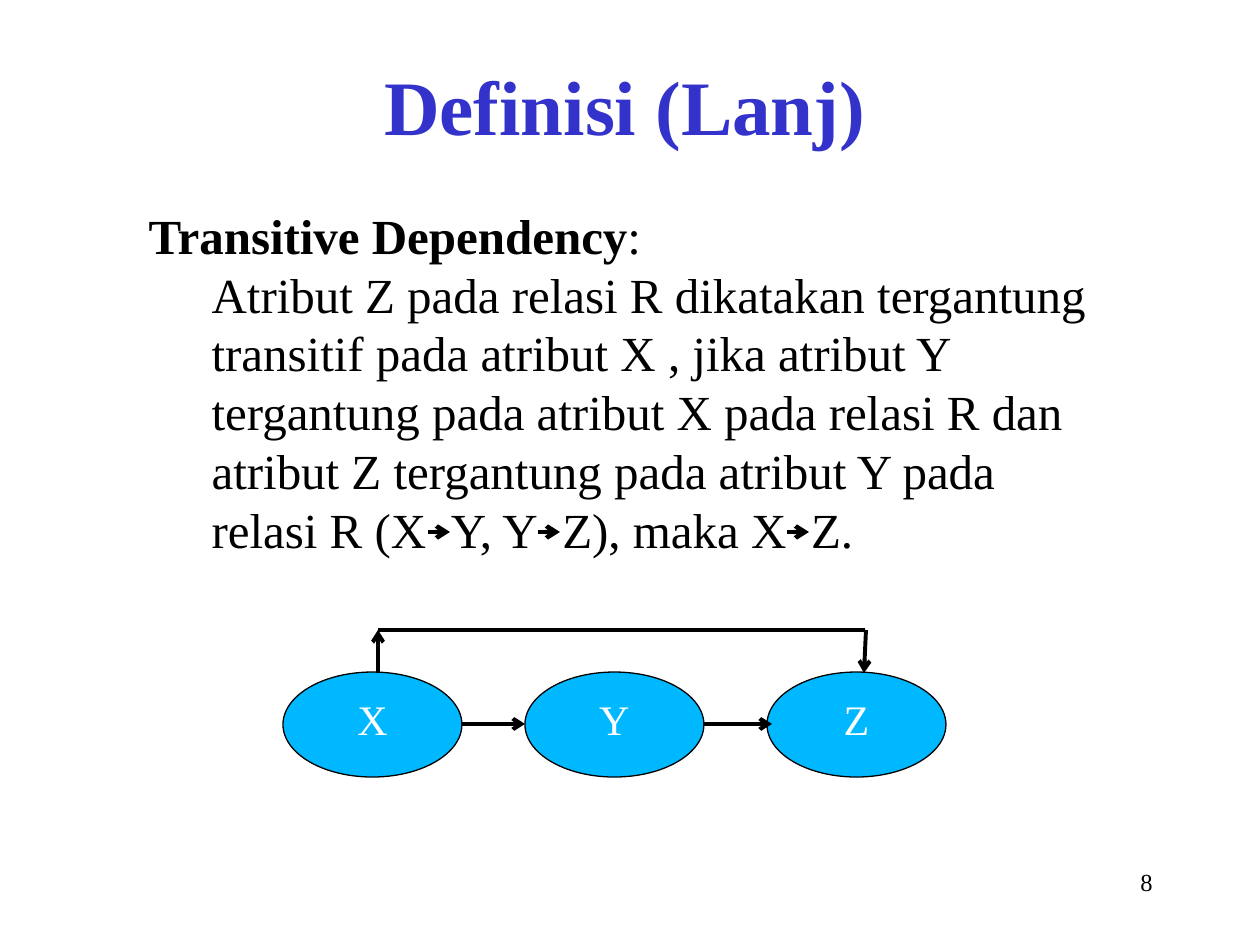
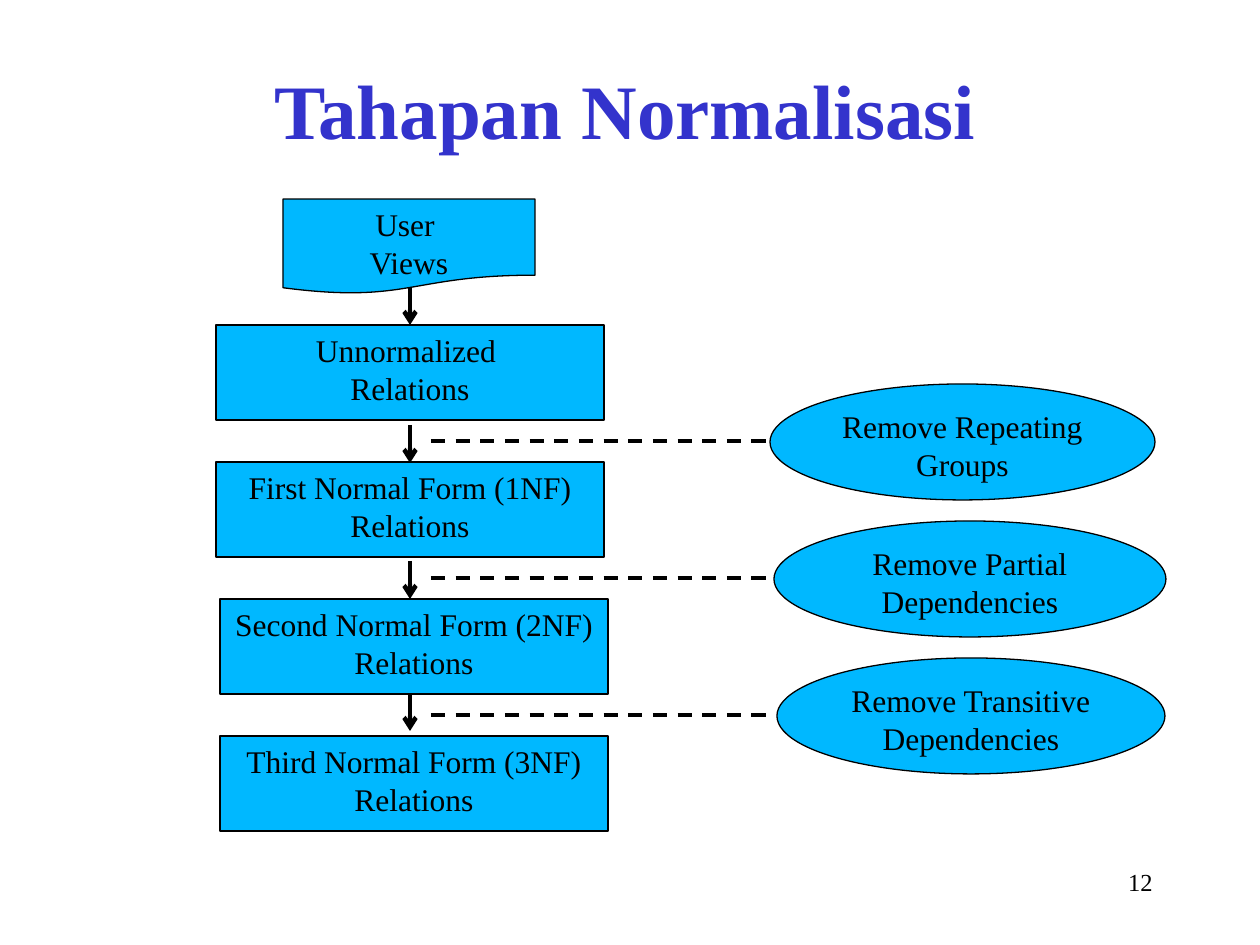
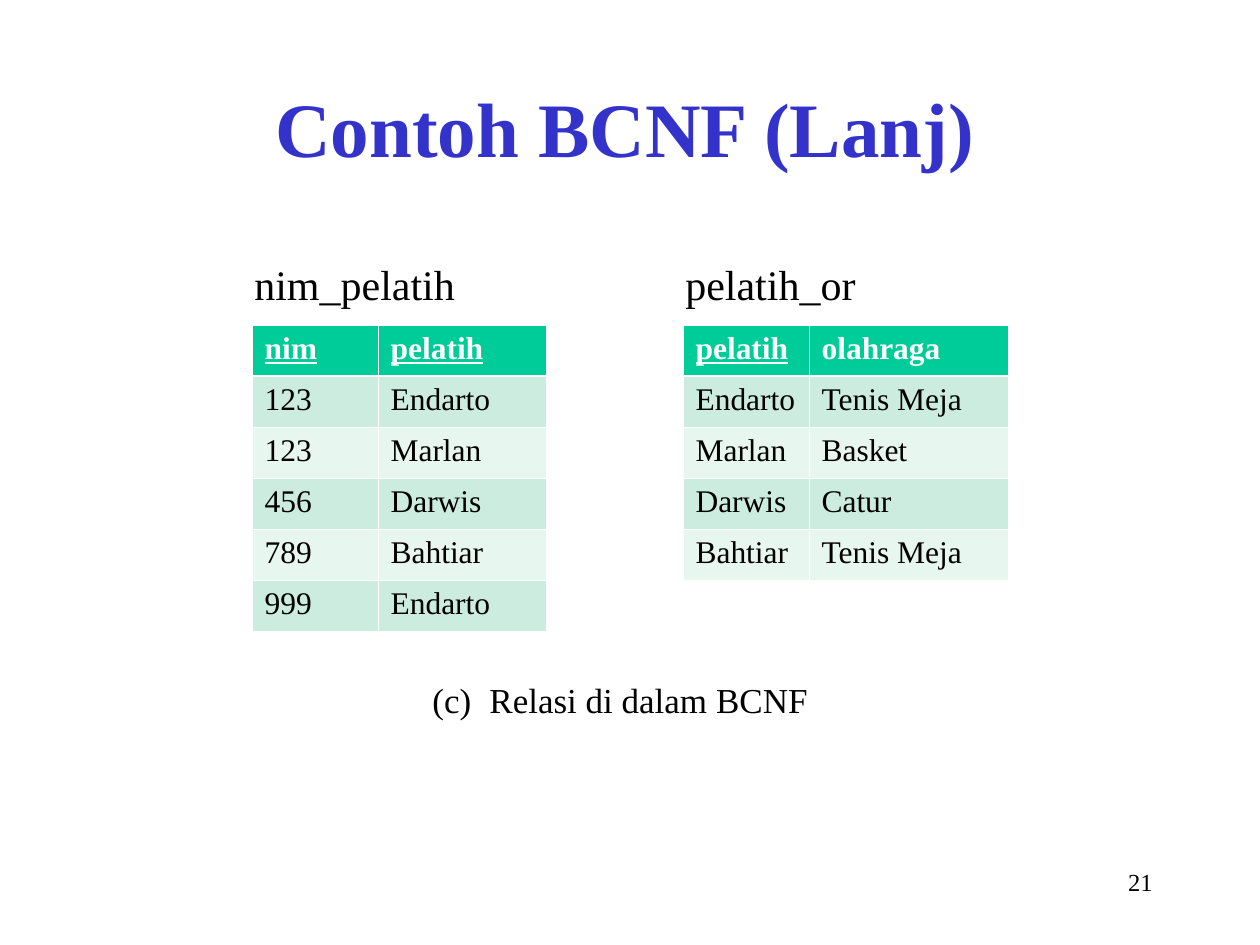
from lxml import etree
from pptx import Presentation
from pptx.dml.color import RGBColor
from pptx.enum.dml import MSO_LINE
from pptx.enum.shapes import MSO_CONNECTOR, MSO_SHAPE
from pptx.enum.text import MSO_ANCHOR, MSO_AUTO_SIZE, PP_ALIGN
from pptx.oxml.ns import qn
from pptx.util import Emu, Pt

LEFT, CENTER, RIGHT = PP_ALIGN.LEFT, PP_ALIGN.CENTER, PP_ALIGN.RIGHT
TOP, BOTTOM = MSO_ANCHOR.TOP, MSO_ANCHOR.BOTTOM
OVAL, PROCESS = MSO_SHAPE.OVAL, MSO_SHAPE.FLOWCHART_PROCESS
DOCUMENT = MSO_SHAPE.FLOWCHART_DOCUMENT
STRAIGHT, DASH = MSO_CONNECTOR.STRAIGHT, MSO_LINE.DASH

FONT = "Times New Roman"
COLORS = {
    "title": "3333CC", "text": "000000", "white": "FFFFFF", "shape": "00B8FF",
    "header": "00CC99", "odd_row": "CBECDE", "even_row": "E7F6EF",
}
DPI = 126
TITLE_AND_BODY, TITLE_ONLY = 1, 5

# Content: definition of transitive dependency
TERM = "Transitive Dependency"
# A lone " " piece is a widened gap that holds a small arrow
DEFINITION = [
    "Atribut Z pada relasi R dikatakan tergantung transitif pada atribut X , "
    "jika atribut Y tergantung pada atribut X pada relasi R dan atribut Z "
    "tergantung pada atribut Y pada relasi R (X", " ", "Y, Y", " ",
    "Z), maka X", " ", "Z.",
]
GAP_ARROW_LEFTS = [428, 538, 787]
GAP_ARROW_Y, GAP_ARROW_LENGTH = 532, 22
ATTRIBUTES = ["X", "Y", "Z"]
CHAIN_ARROWS = [(462, 724, 525, 724), (704, 724, 772, 724),
                (378, 673, 378, 630), (866, 630, 864, 673)]
BYPASS = (378, 630, 865, 630)

# Content: normalization stages as (left, lines)
STAGES = [
    (216, ["Unnormalized ", "Relations"]),
    (216, ["First Normal Form (1NF) Relations"]),
    (220, ["Second Normal Form (2NF) Relations"]),
    (220, ["Third Normal Form (3NF) Relations"]),
]
STAGE_ARROW_TOPS = [287, 425, 561, 693]
# Steps as (left, width, text)
STEPS = [
    (770, 385, "Remove Repeating Groups"),
    (774, 392, "Remove Partial Dependencies"),
    (777, 388, "Remove Transitive Dependencies"),
]
STAGE_PITCH = 137

# Content: BCNF relations; "keys" are the underlined columns
RELATIONS = [
    {"name": "nim_pelatih", "left": 252, "widths": [126, 168],
     "keys": {"nim", "pelatih"},
     "rows": [("nim", "pelatih"), ("123", "Endarto"), ("123", "Marlan"),
              ("456", "Darwis"), ("789", "Bahtiar"), ("999", "Endarto")]},
    {"name": "pelatih_or", "left": 683, "widths": [126, 199],
     "keys": {"pelatih"},
     "rows": [("pelatih", "olahraga"), ("Endarto", "Tenis Meja"),
              ("Marlan", "Basket"), ("Darwis", "Catur"),
              ("Bahtiar", "Tenis Meja")]},
]
ROW_HEIGHT = 51


def px(n):
    return Emu(round(n * 914400 / DPI))


def rgb(name):
    return RGBColor.from_string(COLORS[name])


def place(sp, left, top, width, height):
    sp.left, sp.top, sp.width, sp.height = map(px, (left, top, width, height))


def add_run(p, text, size, color="text", bold=False, underline=False):
    r = p.add_run()
    r.text = text
    font = r.font
    font.name, font.size, font.bold = FONT, Pt(size), bold
    font.underline = underline
    font.color.rgb = rgb(color)
    return r


def add_lines(tf, lines, size, color="text", align=LEFT):
    """Write one paragraph per line into a wrapped frame."""
    tf.word_wrap = True
    for i, line in enumerate(lines):
        p = tf.add_paragraph() if i else tf.paragraphs[0]
        p.alignment = align
        add_run(p, line, size, color)


def add_text(s, box, text, size, align=LEFT):
    sp = s.shapes.add_textbox(*map(px, box))
    add_lines(sp.text_frame, [text], size, align=align)
    return sp


def add_node(s, kind, box, lines, size=18, color="text"):
    sp = s.shapes.add_shape(kind, *map(px, box))
    sp.shadow.inherit = False
    sp.fill.solid()
    sp.fill.fore_color.rgb = rgb("shape")
    sp.line.color.rgb = rgb("text")
    sp.line.width = Pt(0.75)
    sp.text_frame.vertical_anchor = TOP
    add_lines(sp.text_frame, lines, size, color, CENTER)


def add_line(s, ends, width, arrow=True, dash=None):
    c = s.shapes.add_connector(STRAIGHT, *map(px, ends))
    c.line.color.rgb = rgb("text")
    c.line.width = Pt(width)
    if dash:
        c.line.dash_style = dash
    if arrow:
        etree.SubElement(c.line._ln, qn("a:tailEnd"), type="arrow")
    etree.SubElement(c._element.spPr, qn("a:effectLst"))


def add_slide(prs, layout, title, number, top=53, height=108):
    """Add a slide with the shared title style and page number."""
    s = prs.slides.add_slide(prs.slide_layouts[layout])
    sp = s.shapes.title
    place(sp, 63, top, 1124, height)
    tf = sp.text_frame
    tf.auto_size, tf.vertical_anchor = MSO_AUTO_SIZE.NONE, BOTTOM
    p = tf.paragraphs[0]
    p.alignment = CENTER
    add_run(p, title, 44, "title", bold=True)
    add_text(s, (903, 861, 262, 63), str(number), 14, RIGHT)
    return s


def set_indent(p, margin, first=0):
    pPr = p._p.get_or_add_pPr()
    pPr.set("marL", str(px(margin)))
    pPr.set("indent", str(px(first)))
    return pPr


def add_border(tcPr, side, width):
    ln = etree.SubElement(tcPr, qn(f"a:{side}"), w=str(Pt(width)))
    fill = etree.SubElement(ln, qn("a:solidFill"))
    etree.SubElement(fill, qn("a:srgbClr"), val=COLORS["white"])


def add_relation(s, relation):
    rows, left = relation["rows"], relation["left"]
    widths = relation["widths"]
    add_text(s, (left - 10, 252, 242, 63), relation["name"], 24)
    table = s.shapes.add_table(
        len(rows), len(widths), px(left), px(325),
        px(sum(widths)), px(ROW_HEIGHT * len(rows))).table
    for column, width in zip(table.columns, widths):
        column.width = px(width)
    for i, row in enumerate(rows):
        table.rows[i].height = px(ROW_HEIGHT)
        header = i == 0
        fill = "header" if header else "odd_row" if i % 2 else "even_row"
        for j, text in enumerate(row):
            cell = table.cell(i, j)
            tcPr = cell._tc.get_or_add_tcPr()
            for side in ("lnL", "lnR", "lnT", "lnB"):
                thick = (side, i) in (("lnB", 0), ("lnT", 1))
                add_border(tcPr, side, 1.5 if thick else 0.5)
            cell.fill.solid()
            cell.fill.fore_color.rgb = rgb(fill)
            add_run(cell.text_frame.paragraphs[0], text, 18,
                    "white" if header else "text", bold=header,
                    underline=header and text in relation["keys"])


def build_definition(prs):
    s = add_slide(prs, TITLE_AND_BODY, "Definisi (Lanj)", 8, top=49)
    body = s.placeholders[1]
    place(body, 136, 199, 987, 365)
    tf = body.text_frame
    tf.auto_size = MSO_AUTO_SIZE.NONE
    term, definition = tf.paragraphs[0], tf.add_paragraph()
    for p, margin in ((term, 0), (definition, 63)):
        etree.SubElement(set_indent(p, margin), qn("a:buNone"))
        p.space_before = Pt(0)
    add_run(term, TERM, 28, bold=True)
    add_run(term, ":", 28)
    for piece in DEFINITION:
        r = add_run(definition, piece, 28)
        if piece == " ":
            r._r.get_or_add_rPr().set("spc", "700")
    for left in GAP_ARROW_LEFTS:
        add_line(s, (left, GAP_ARROW_Y, left + GAP_ARROW_LENGTH, GAP_ARROW_Y),
                 2.5)

    # Dependency chain
    for i, name in enumerate(ATTRIBUTES):
        add_node(s, OVAL, (283 + 242 * i, 672, 179, 105), [name], 24, "white")
    for ends in CHAIN_ARROWS:
        add_line(s, ends, 2.25)
    add_line(s, BYPASS, 2.25, arrow=False)


def build_stages(prs):
    s = add_slide(prs, TITLE_ONLY, "Tahapan Normalisasi", 12)
    add_node(s, DOCUMENT, (283, 199, 252, 95), ["User ", "Views"])
    for i, (left, lines) in enumerate(STAGES):
        add_node(s, PROCESS, (left, 325 + STAGE_PITCH * i, 388, 95), lines)
    for top in STAGE_ARROW_TOPS:
        add_line(s, (410, top, 410, top + 38), 2.5)
    for i, (left, width, text) in enumerate(STEPS):
        offset = STAGE_PITCH * i
        add_node(s, OVAL, (left, 384 + offset, width, 116), [text])
        add_line(s, (431, 441 + offset, 766, 441 + offset), 2,
                 arrow=False, dash=DASH)


def build_bcnf(prs):
    s = add_slide(prs, TITLE_ONLY, "Contoh BCNF (Lanj)", 21, height=126)
    for relation in RELATIONS:
        add_relation(s, relation)
    caption = add_text(s, (420, 672, 410, 55), "(c)\tRelasi di dalam BCNF", 20)
    set_indent(caption.text_frame.paragraphs[0], 57, -57)


def main():
    prs = Presentation()
    prs.slide_width, prs.slide_height = px(1260), px(945)
    build_definition(prs)
    build_stages(prs)
    build_bcnf(prs)
    prs.save("out.pptx")


if __name__ == "__main__":
    main()
